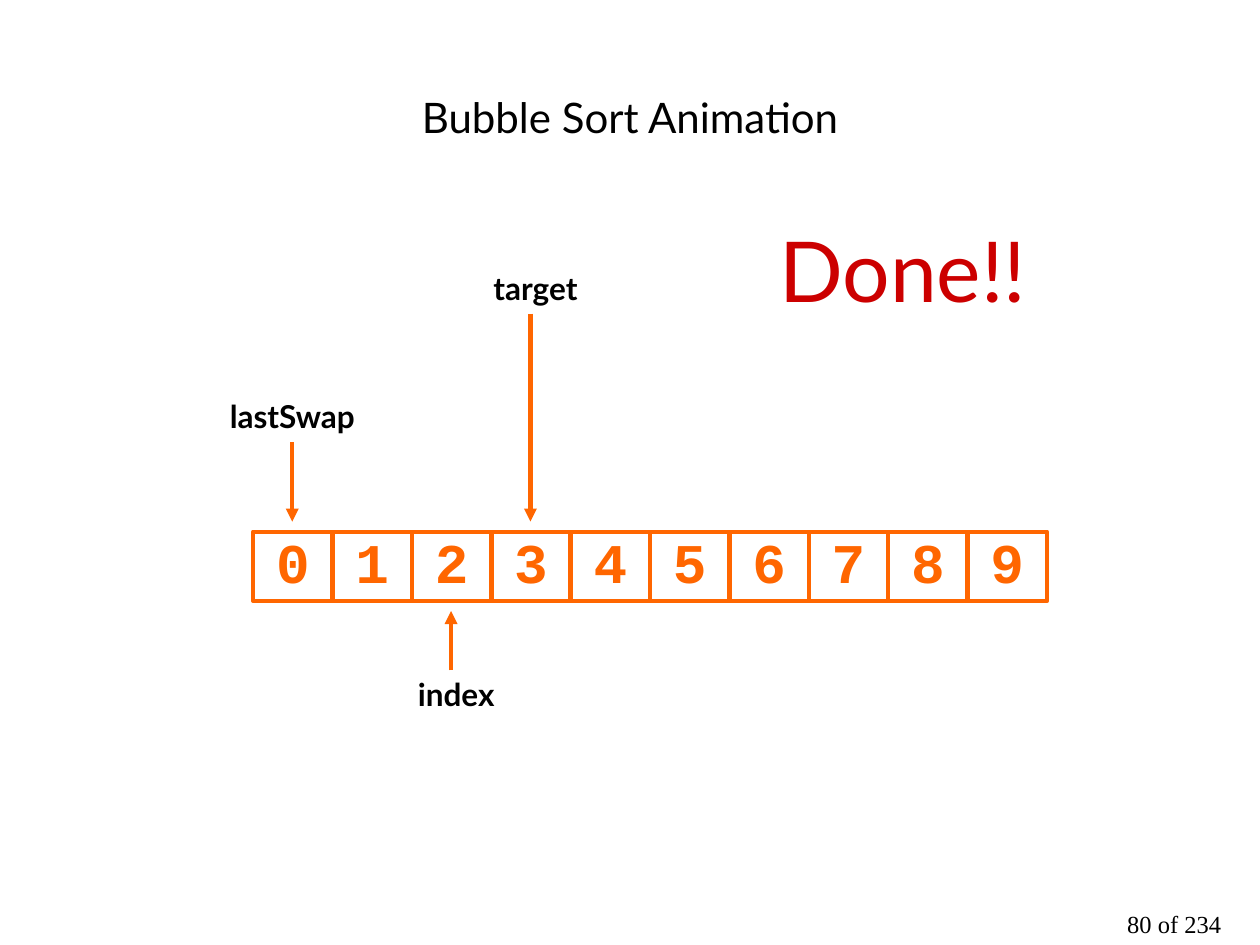
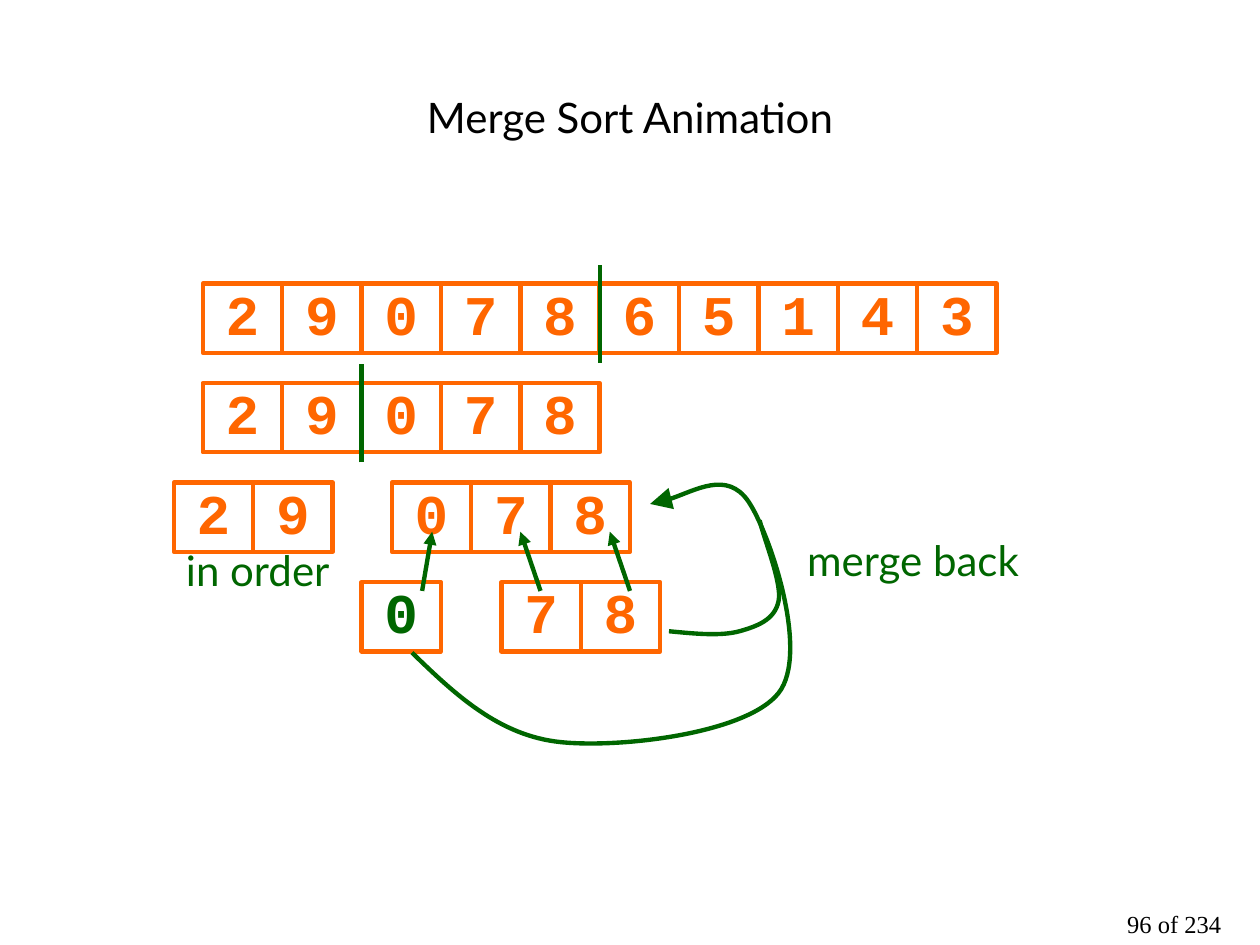
from dataclasses import dataclass

from lxml.etree import SubElement
from pptx import Presentation
from pptx.dml.color import RGBColor
from pptx.enum.shapes import MSO_CONNECTOR, MSO_SHAPE
from pptx.enum.text import MSO_ANCHOR, MSO_AUTO_SIZE, PP_ALIGN
from pptx.oxml.ns import qn
from pptx.util import Pt

EMU_PER_PX = 9144
CELL_WIDTH, CELL_HEIGHT, ROW_PITCH = 63, 55, 79
POINTER_GAP = 8


@dataclass(frozen=True)
class Theme:
    black: RGBColor = RGBColor(0x00, 0x00, 0x00)
    orange: RGBColor = RGBColor(0xFF, 0x66, 0x00)
    green: RGBColor = RGBColor(0x00, 0x66, 0x00)
    red: RGBColor = RGBColor(0xCC, 0x00, 0x00)
    text_font: str = "Lato"
    digit_font: str = "Courier New"
    page_font: str = "Times New Roman"
    title_size: int = 24
    note_size: int = 24
    digit_size: int = 32
    pointer_size: int = 18
    page_size: int = 14
    done_size: int = 48
    line_width: float = 2.5


THEME = Theme()


def px(*lengths):
    return [length * EMU_PER_PX for length in lengths]


def write(shape, text, size, color, font=THEME.text_font, bold=False,
          spacing=0.85, margins=(0, 0), anchor=MSO_ANCHOR.TOP):
    frame = shape.text_frame
    frame.text = text
    frame.word_wrap = True
    frame.auto_size = MSO_AUTO_SIZE.NONE
    frame.vertical_anchor = anchor
    side, edge = px(*margins)
    frame.margin_left = frame.margin_right = side
    frame.margin_top = frame.margin_bottom = edge
    paragraph = frame.paragraphs[0]
    paragraph.alignment = PP_ALIGN.CENTER
    paragraph.line_spacing = spacing
    for run in paragraph.runs:
        run.font.name = font
        run.font.size = Pt(size)
        run.font.bold = bold
        run.font.color.rgb = color


def add_label(shapes, text, box, size, color, **style):
    write(shapes.add_textbox(*px(*box)), text, size, color, **style)


def set_line(shape, color):
    shape.line.color.rgb = color
    shape.line.width = Pt(THEME.line_width)


def add_arrowhead(shape, size="med"):
    outline = shape._element.spPr.find(qn("a:ln"))
    SubElement(outline, qn("a:tailEnd"), type="triangle", w=size, len=size)


def add_line(shapes, start, end, color, arrow=False):
    connector = shapes.add_connector(MSO_CONNECTOR.STRAIGHT, *px(*start, *end))
    set_line(connector, color)
    SubElement(connector._element.spPr, qn("a:effectLst"))
    if arrow:
        add_arrowhead(connector)


def add_curve(shapes, points, color, arrow=False):
    builder = shapes.build_freeform(*points[0], scale=EMU_PER_PX)
    builder.add_line_segments(points[1:], close=False)
    curve = builder.convert_to_shape()
    outline = next(curve._element.iter(qn("a:path")))
    segments = outline.findall(qn("a:lnTo"))
    for first in range(0, len(segments), 3):
        bezier = SubElement(outline, qn("a:cubicBezTo"))
        for segment in segments[first:first + 3]:
            bezier.append(segment[0])
            outline.remove(segment)
    curve.fill.background()
    curve.shadow.inherit = False
    set_line(curve, color)
    if arrow:
        add_arrowhead(curve, "lg")


def add_cells(slide, digits, left, top, color=THEME.orange):
    for index, digit in enumerate(digits):
        cell = slide.shapes.add_shape(
            MSO_SHAPE.RECTANGLE,
            *px(left + index * CELL_WIDTH, top, CELL_WIDTH, CELL_HEIGHT))
        cell.fill.background()
        cell.shadow.inherit = False
        set_line(cell, THEME.orange)
        write(cell, digit, THEME.digit_size, color, THEME.digit_font,
              bold=True, anchor=MSO_ANCHOR.MIDDLE)


def add_split(slide, x, row_top):
    add_line(slide.shapes, (x, row_top + 63), (x, row_top - 15), THEME.green)


def add_pointer(slide, text, label_box, x, row_top):
    shapes = slide.shapes.add_group_shape().shapes
    add_label(shapes, text, label_box, THEME.pointer_size, THEME.black, bold=True)
    _, top, _, height = label_box
    if top < row_top:
        start, end = top + height + 5, row_top - POINTER_GAP
    else:
        start, end = top - POINTER_GAP, row_top + CELL_HEIGHT + POINTER_GAP
    add_line(shapes, (x, start), (x, end), THEME.orange, arrow=True)


def add_slide(presentation, title, page):
    slide = presentation.slides.add_slide(presentation.slide_layouts[5])
    heading = slide.shapes.title
    heading.left, heading.top, heading.width, heading.height = px(50, 30, 900, 125)
    write(heading, title, THEME.title_size, THEME.black, spacing=1.0,
          margins=(10, 5), anchor=MSO_ANCHOR.MIDDLE)
    add_label(slide.shapes, f"{page} of 234", (864, 722, 136, 28), THEME.page_size,
              THEME.black, font=THEME.page_font, spacing=0.75, margins=(10, 5))
    return slide


def build_bubble_sort(presentation):
    slide = add_slide(presentation, "Bubble Sort Animation", 80)
    left, top = 201, 422
    add_cells(slide, "0123456789", left, top)
    pointers = [
        ("index", 2, (303, 540, 118, 26)),
        ("target", 3, (366, 218, 118, 26)),
        ("lastSwap", 0, (161, 320, 142, 26)),
    ]
    for text, index, label_box in pointers:
        center = left + index * CELL_WIDTH + CELL_WIDTH // 2
        add_pointer(slide, text, label_box, center, top)
    add_label(slide.shapes, "Done!!", (547, 186, 339, 68), THEME.done_size, THEME.red)


def build_merge_sort(presentation):
    slide = add_slide(presentation, "Merge Sort Animation", 96)
    whole, halves, parts, leaves = [225 + row * ROW_PITCH for row in range(4)]
    left = 161
    add_cells(slide, "2907865143", left, whole)
    add_cells(slide, "29078", left, halves)
    add_cells(slide, "29", 138, parts)
    add_cells(slide, "078", 311, parts)
    add_cells(slide, "0", 287, leaves, THEME.green)
    add_cells(slide, "78", 398, leaves)
    add_split(slide, left + 5 * CELL_WIDTH, whole)
    add_split(slide, left + 2 * CELL_WIDTH, halves)
    add_label(slide.shapes, "in order", (114, 438, 181, 34),
              THEME.note_size, THEME.green)

    merge = slide.shapes.add_group_shape().shapes
    add_curve(merge, [(327, 518), (361, 551), (396, 584), (445, 589),
                      (493, 594), (593, 582), (618, 550),
                      (643, 518), (611, 423), (594, 398),
                      (577, 373), (532, 399), (516, 400)], THEME.green, arrow=True)
    add_curve(merge, [(531, 501), (552, 503), (572, 505), (587, 501),
                      (601, 497), (615, 492), (618, 477),
                      (621, 463), (606, 427), (603, 413)], THEME.green)
    add_label(merge, "merge back", (634, 430, 181, 68), THEME.note_size, THEME.green)

    for start, end in [(335, 343), (429, 413), (500, 484)]:
        add_line(slide.shapes, (start, leaves + 7), (end, parts + 39),
                 THEME.green, arrow=True)


def main():
    presentation = Presentation()
    presentation.slide_width, presentation.slide_height = px(1000, 750)
    build_bubble_sort(presentation)
    build_merge_sort(presentation)
    presentation.save("out.pptx")


if __name__ == "__main__":
    main()
